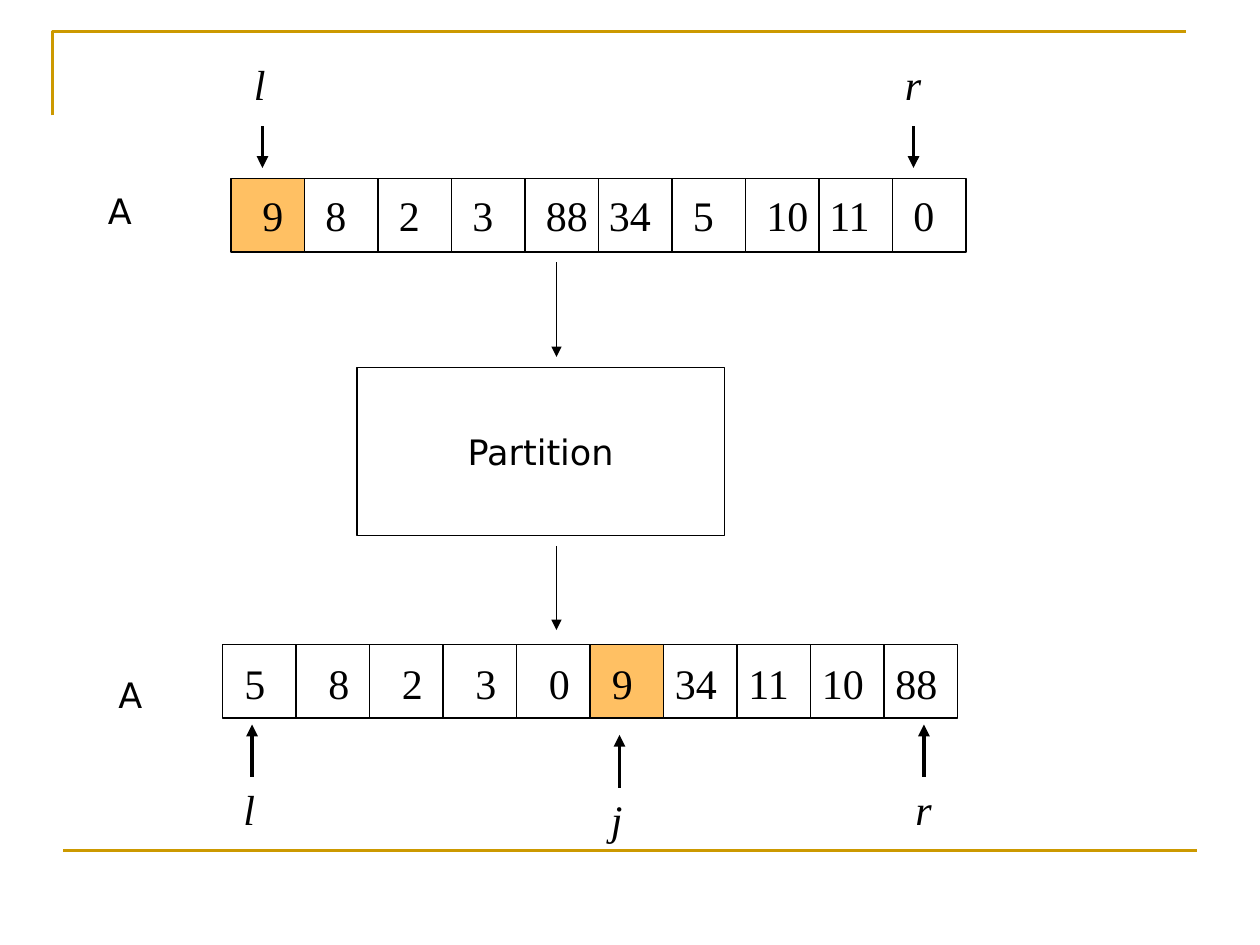
import dataclasses

import lxml.etree
import pptx
import pptx.dml.color
import pptx.enum.shapes
import pptx.enum.text
import pptx.oxml.ns
import pptx.util

COLS, ROWS = 120, 90
UNIT = pptx.util.Inches(10) // COLS
CELL = 7  # side of an array cell, in grid columns


@dataclasses.dataclass(frozen=True)
class Theme:
    ink: str = "000000"
    gold: str = "CC9900"
    pivot: str = "FFC063"
    serif: str = "Times New Roman"
    sans: str = "DejaVu Sans"
    large: int = 24
    small: int = 20
    thin: float = 0.75
    edge: float = 1.5
    bold: float = 2.25


THEME = Theme()


def grid(*sizes):
    return [round(size * UNIT) for size in sizes]


def color(code):
    return pptx.dml.color.RGBColor.from_string(code)


def add_node(parent, tag, **attrs):
    name = pptx.oxml.ns.qn(tag)
    return lxml.etree.SubElement(parent, name, **attrs)


def style(para, font, size, italic=False):
    for run in para.runs:
        run.font.name = font
        run.font.size = pptx.util.Pt(size)
        run.font.italic = italic
        run.font.color.rgb = color(THEME.ink)


def outline(shape, code, width):
    shape.line.color.rgb = color(code)
    shape.line.width = pptx.util.Pt(width)


def add_box(slide, x, y, w, h, fill=None):
    kind = pptx.enum.shapes.MSO_SHAPE.RECTANGLE
    box = slide.shapes.add_shape(kind, *grid(x, y, w, h))
    box.shadow.inherit = False
    if fill:
        box.fill.solid()
        box.fill.fore_color.rgb = color(fill)
    else:
        box.fill.background()
    outline(box, THEME.ink, THEME.thin)
    return box


def add_text(slide, text, x, y, w, h):
    box = slide.shapes.add_textbox(*grid(x, y, w, h))
    frame = box.text_frame
    frame.word_wrap = False
    frame.auto_size = pptx.enum.text.MSO_AUTO_SIZE.SHAPE_TO_FIT_TEXT
    frame.text = text
    return frame.paragraphs[0]


def add_line(slide, x1, y1, x2, y2, code, width, arrow=False):
    kind = pptx.enum.shapes.MSO_CONNECTOR.STRAIGHT
    line = slide.shapes.add_connector(kind, *grid(x1, y1, x2, y2))
    outline(line, code, width)
    if arrow:
        add_node(line.line._get_or_add_ln(), "a:tailEnd", type="triangle")
    add_node(line._element.spPr, "a:effectLst")


def add_frame(slide):
    """Draw the gold corner at the top and the rule at the foot."""
    pen = slide.shapes.build_freeform(5, 11, scale=UNIT)
    pen.add_line_segments([(5, 3), (113, 3)], close=False)
    corner = pen.convert_to_shape()
    corner.shadow.inherit = False
    corner.fill.background()
    outline(corner, THEME.gold, THEME.edge)
    add_line(slide, 6, 81, 114, 81, THEME.gold, THEME.edge)


def add_cells(slide, x, y, count, pivot):
    for i in range(count):
        fill = THEME.pivot if i == pivot else None
        add_box(slide, x + i * CELL, y, CELL, CELL, fill)


def add_values(slide, values, stops, x, y, w):
    """Write the values on one line, each at its own tab stop."""
    para = add_text(slide, "\t".join(map(str, values)), x, y, w, 6)
    tabs = add_node(para._p.get_or_add_pPr(), "a:tabLst")
    for stop in stops:
        add_node(tabs, "a:tab", pos=str(stop * UNIT), algn="l")
    style(para, THEME.serif, THEME.large)


def add_index(slide, name, x, y, w, tip, start, end):
    """Add an index letter and the arrow that points at its cell."""
    para = add_text(slide, name, x, y, w, 6)
    style(para, THEME.serif, THEME.large, italic=True)
    add_line(slide, tip, start, tip, end, THEME.ink, THEME.bold, True)


def add_step(slide, text, x, y, w, h):
    frame = add_box(slide, x, y, w, h).text_frame
    frame.vertical_anchor = pptx.enum.text.MSO_ANCHOR.MIDDLE
    frame.text = text
    para = frame.paragraphs[0]
    para.alignment = pptx.enum.text.PP_ALIGN.CENTER
    style(para, THEME.sans, THEME.small)


def main():
    deck = pptx.Presentation()
    deck.slide_width, deck.slide_height = grid(COLS, ROWS)
    slide = deck.slides.add_slide(deck.slide_layouts[6])
    add_frame(slide)

    before = [9, 8, 2, 3, 88, 34, 5, 10, 11, 0]
    after = [5, 8, 2, 3, 0, 9, 34, 11, 10, 88]
    add_cells(slide, 22, 17, len(before), before.index(9))
    add_cells(slide, 21.2, 61.4, len(after), after.index(9))
    add_values(slide, before, [6, 13, 20, 27, 33, 41, 48, 54, 62],
               23.8, 17.5, 66.4)
    add_values(slide, after, [8, 15, 22, 29, 35, 41, 48, 55, 62],
               22.1, 62, 68.4)

    add_step(slide, "Partition", 34, 35, 35, 16)
    for start, end in [(25, 34), (52, 60)]:
        add_line(slide, 53, start, 53, end, THEME.ink, THEME.thin, True)

    for index in [
        ("l", 23, 5, 3.5, 25, 12, 16),
        ("r", 85, 5, 4, 87, 12, 16),
        ("l", 22, 74, 3.5, 24, 74, 69),
        ("j", 57, 75, 3.5, 59, 75, 70),
        ("r", 86, 74, 4, 88, 74, 69),
    ]:
        add_index(slide, *index)
    for x, y in [(9.1, 17.5), (10.1, 63.6)]:
        style(add_text(slide, "A", x, y, 4.6, 5.3), THEME.sans, THEME.small)

    deck.save("out.pptx")


if __name__ == "__main__":
    main()
